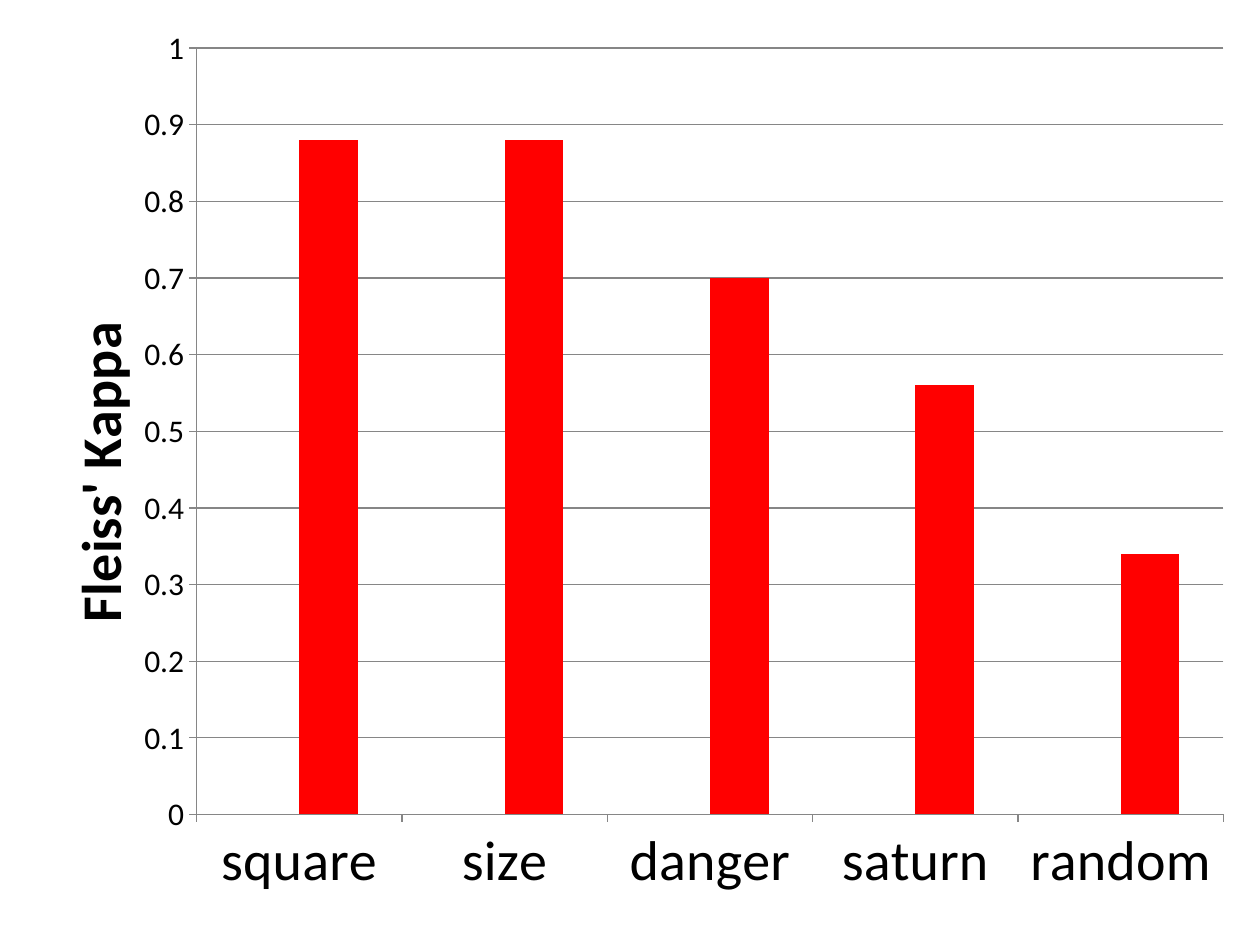
from lxml import etree
from pptx import Presentation
from pptx.chart.data import CategoryChartData
from pptx.dml.color import RGBColor
from pptx.enum.chart import XL_CHART_TYPE, XL_TICK_MARK
from pptx.oxml.ns import qn
from pptx.util import Cm, Pt

COLUMNS = XL_CHART_TYPE.COLUMN_CLUSTERED
TICK_OUTSIDE = XL_TICK_MARK.OUTSIDE
BLACK = RGBColor(0, 0, 0)
GRAY = RGBColor(0x86, 0x86, 0x86)
GREEN = RGBColor(0x9B, 0xBB, 0x59)
RED = RGBColor(0xFF, 0, 0)

WORDS = ["square", "size", "danger", "saturn", "random"]
SERIES = [
    ("Series 1", [None] * len(WORDS), GREEN),
    ("Series 2", [0.88, 0.88, 0.7, 0.56, 0.34], RED),
]


def place(parent, index, **settings):
    for existing in parent.findall(qn("c:layout")):
        parent.remove(existing)
    layout = etree.Element(qn("c:layout"))
    manual = etree.SubElement(layout, qn("c:manualLayout"))
    for name, value in settings.items():
        etree.SubElement(manual, qn(f"c:{name}")).set("val", str(value))
    parent.insert(index, layout)


class SlideBuilder:
    font_name = "Calibri"
    text_size = Pt(18)
    label_size = Pt(32)

    def __init__(self, slide):
        self.slide = slide

    def style_font(self, font, size, bold=False):
        font.name = self.font_name
        font.size = size
        font.bold = bold
        font.color.rgb = BLACK

    def style_axis(self, axis, size):
        axis.major_tick_mark = TICK_OUTSIDE
        axis.format.line.color.rgb = GRAY
        axis.format.line.width = Pt(0.75)
        self.style_font(axis.tick_labels.font, size)

    def add_axis_title(self, axis, text):
        title = axis.axis_title
        paragraph = title.text_frame.paragraphs[0]
        run = paragraph.add_run()
        run.text = text
        self.style_font(run.font, self.label_size, bold=True)
        body = next(title._element.iter(qn("a:bodyPr")))
        body.set("rot", "-5400000")
        body.set("vert", "horz")
        place(title._element, 1, xMode="edge", yMode="edge", x=0.04, y=0.33)

    def add_column_chart(self, left, top, width, height, value_title):
        data = CategoryChartData()
        data.categories = WORDS
        for name, values, _ in SERIES:
            data.add_series(name, values)
        chart = self.slide.shapes.add_chart(
            COLUMNS, left, top, width, height, data
        ).chart
        chart.has_legend = False
        chart.has_title = False
        self.style_font(chart.font, self.text_size)

        plot = chart.plots[0]
        plot.gap_width = 150
        plot.overlap = 0
        plot.vary_by_categories = False
        for series, (_, _, color) in zip(plot.series, SERIES):
            series.format.fill.solid()
            series.format.fill.fore_color.rgb = color

        self.style_axis(chart.category_axis, self.label_size)
        value_axis = chart.value_axis
        self.style_axis(value_axis, self.text_size)
        value_axis.minimum_scale = 0
        value_axis.maximum_scale = 1
        value_axis.major_unit = 0.1
        value_axis.has_major_gridlines = True
        value_axis.major_gridlines.format.line.color.rgb = GRAY
        value_axis.major_gridlines.format.line.width = Pt(0.75)
        self.add_axis_title(value_axis, value_title)

        plot_area = next(chart._chartSpace.iter(qn("c:plotArea")))
        place(plot_area, 0, layoutTarget="inner", xMode="edge", yMode="edge",
              x=0.156, y=0.051, w=0.815, h=0.811)


def main():
    presentation = Presentation()
    presentation.slide_width = Cm(25.4)
    presentation.slide_height = Cm(19.05)
    slide = presentation.slides.add_slide(presentation.slide_layouts[6])
    builder = SlideBuilder(slide)
    builder.add_column_chart(Cm(0), Cm(0), Cm(25.4), Cm(19.05), "Fleiss' Kappa")
    presentation.save("out.pptx")


if __name__ == "__main__":
    main()
